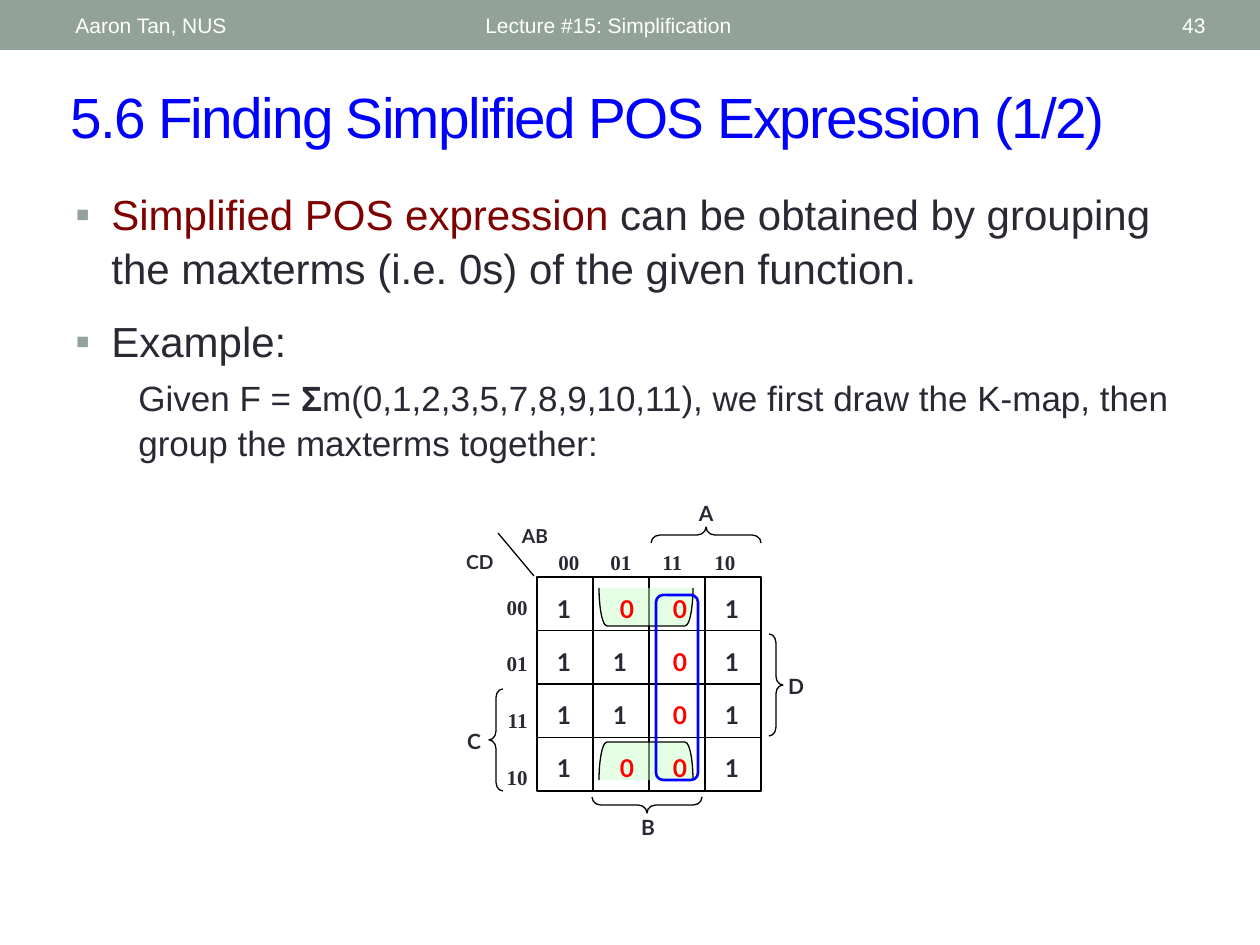
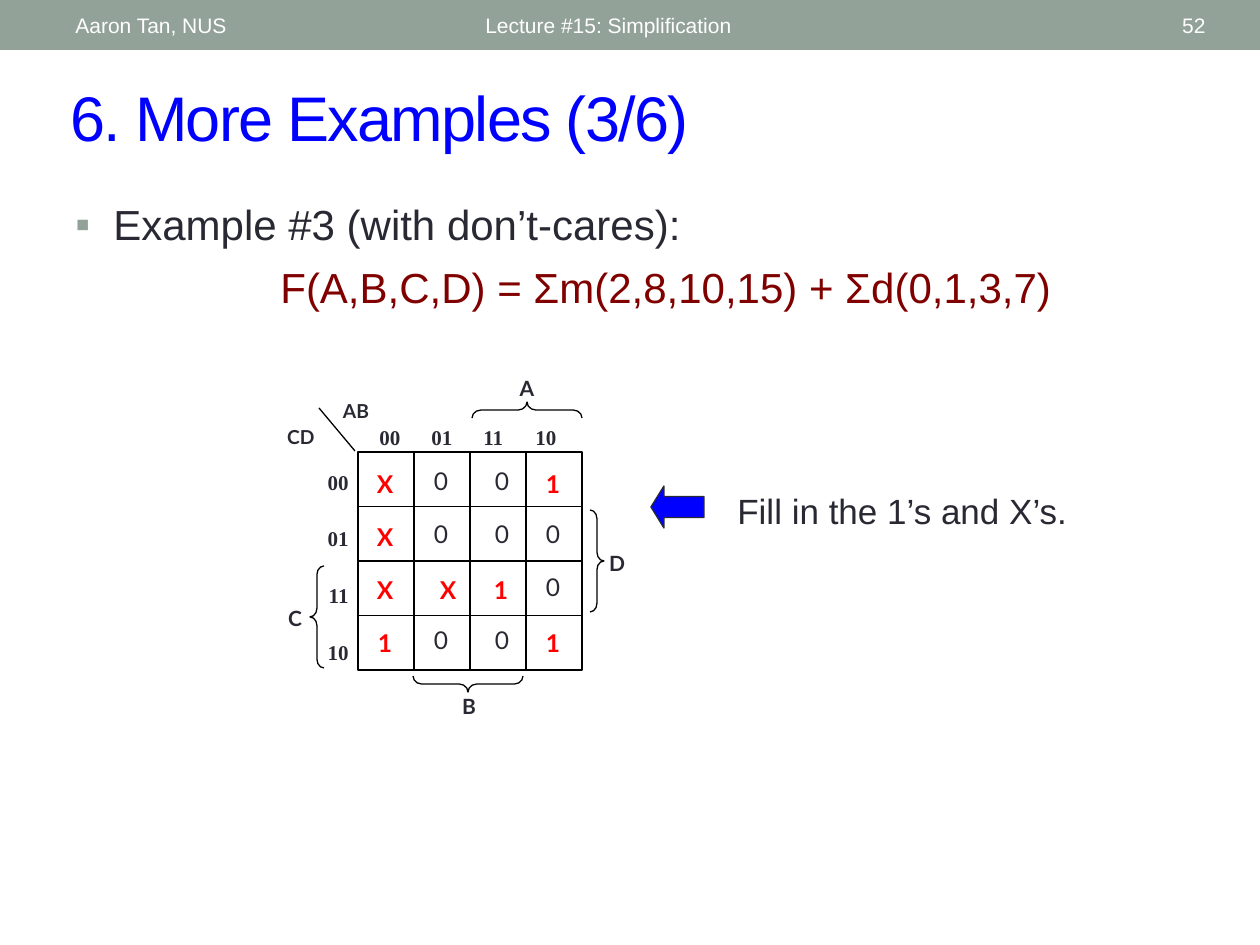
from lxml.etree import SubElement
from pptx import Presentation
from pptx.dml.color import RGBColor
from pptx.enum.shapes import MSO_CONNECTOR as Connector, MSO_SHAPE as Shape
from pptx.enum.text import MSO_ANCHOR as Anchor, MSO_AUTO_SIZE as AutoSize, PP_ALIGN as Align
from pptx.oxml.ns import qn
from pptx.util import Emu, Pt

COLORS = {
    "band": "93A299", "white": "FFFFFF", "title": "0000FF", "text": "292934",
    "accent": "800000", "mark": "FF0000", "line": "000000", "group": "CCFFCC",
}
SANS, LABEL, SERIF = "Arial", "Lato", "Times New Roman"
MAP_WIDTH, COLUMN, ROW_STEP = 224, 56, 53
GRAY_CODE = ("00", "01", "11", "10")
MARKED_NUDGES = (-1, 6, 3, -1)
PLAIN_NUDGES = (-1, -1, 4, -1)


def px(length):
    """Turn pixels at 126 to the inch into EMU."""
    return Emu(round(length * 914400 / 126))


def rgb(name):
    """Look up a named colour."""
    return RGBColor.from_string(COLORS[name])


def add_run(paragraph, text, size, color="text", font=SANS, bold=False):
    """Append one formatted run to a paragraph."""
    run = paragraph.add_run()
    run.text = text
    run.font.name = font
    run.font.size = Pt(size)
    run.font.bold = bold
    run.font.color.rgb = rgb(color)
    return run


def add_frame(slide, left, top, width, height, anchor=Anchor.TOP):
    """Add an empty wrapping text box and return its text frame."""
    box = slide.shapes.add_textbox(px(left), px(top), px(width), px(height))
    frame = box.text_frame
    frame.word_wrap = True
    frame.auto_size = AutoSize.NONE
    frame.vertical_anchor = anchor
    return frame


def add_label(slide, text, left, top, width, height, size, align=Align.CENTER,
              anchor=Anchor.TOP, **style):
    """Add a text box holding one run."""
    paragraph = add_frame(slide, left, top, width, height, anchor).paragraphs[0]
    paragraph.alignment = align
    return add_run(paragraph, text, size, **style)


def add_shape(slide, kind, left, top, width, height, fill=None, line="line",
              weight=0.75, rotation=0, adjustments=()):
    """Add a preset shape with a plain fill and outline."""
    shape = slide.shapes.add_shape(kind, px(left), px(top), px(width), px(height))
    shape.shadow.inherit = False
    shape.rotation = rotation
    for index, value in enumerate(adjustments):
        shape.adjustments[index] = value
    if fill:
        shape.fill.solid()
        shape.fill.fore_color.rgb = rgb(fill)
    else:
        shape.fill.background()
    if line:
        shape.line.color.rgb = rgb(line)
        shape.line.width = Pt(weight)
    else:
        shape.line.fill.background()
    return shape


def add_line(slide, start, end):
    """Add a thin straight connector without a shadow."""
    points = [px(value) for value in (*start, *end)]
    connector = slide.shapes.add_connector(Connector.STRAIGHT, *points)
    connector.line.color.rgb = rgb("line")
    connector.line.width = Pt(0.75)
    SubElement(connector._element.spPr, qn("a:effectLst"))
    return connector


def set_indent(paragraph, left, first=0):
    """Set the left margin and the first-line indent."""
    properties = paragraph._p.get_or_add_pPr()
    properties.set("marL", str(px(left)))
    properties.set("indent", str(px(first)))
    return properties


def set_bullet(paragraph, indent):
    """Give a paragraph a hanging square bullet."""
    properties = set_indent(paragraph, indent, -indent)
    color = SubElement(properties, qn("a:buClr"))
    SubElement(color, qn("a:srgbClr"), val=COLORS["band"])
    SubElement(properties, qn("a:buFont"), typeface=SANS)
    SubElement(properties, qn("a:buChar"), char="▪")


def add_body(slide, top, height, items):
    """Add body text from (bulleted, indent, space before, size, runs) items."""
    frame = add_frame(slide, 63, top, 1134, height)
    for index, (bulleted, indent, space, size, runs) in enumerate(items):
        paragraph = frame.add_paragraph() if index else frame.paragraphs[0]
        if bulleted:
            set_bullet(paragraph, indent)
        else:
            set_indent(paragraph, indent)
        paragraph.line_spacing = 1.07
        paragraph.space_before = Pt(space)
        for text, color, bold in runs:
            add_run(paragraph, text, size, color, bold=bold)


def start_slide(presentation, title, title_size, number):
    """Add a blank slide with the header band and title."""
    slide = presentation.slides.add_slide(presentation.slide_layouts[6])
    add_shape(slide, Shape.RECTANGLE, 0, 0, 1260, 50, "band", None)
    title_run = add_label(slide, title, 58, 72, 1143, 88, title_size, Align.LEFT,
                          Anchor.MIDDLE, color="title")
    title_run._r.get_or_add_rPr().set("spc", "-100")
    for text, left, width, align in (
            ("Lecture #15: Simplification", 473, 567, Align.LEFT),
            (number, 1099, 119, Align.RIGHT),
            ("Aaron Tan, NUS", 63, 399, Align.LEFT)):
        add_label(slide, text, left, 3, width, 45, 12, align, Anchor.MIDDLE, color="white")
    return slide


def add_grid(slide, left, top, height):
    """Draw the four by four outline of a K-map."""
    frame = add_shape(slide, Shape.RECTANGLE, left, top, MAP_WIDTH, height)
    for index in (1, 2, 3):
        x, y = left + COLUMN * index, top + height * index / 4
        vertical = add_line(slide, (x, top), (x, top + height))
        horizontal = add_line(slide, (left, y), (left + MAP_WIDTH, y))
        if index == 2:
            vertical.begin_connect(frame, 0)
            vertical.end_connect(frame, 2)
            horizontal.begin_connect(frame, 1)
            horizontal.end_connect(frame, 3)


def add_gray_codes(slide, left, top):
    """Write the row and column codes around a K-map."""
    rows = add_frame(slide, left - 46, top + 11, 49, 222)
    for index, code in enumerate(GRAY_CODE):
        paragraph = rows.add_paragraph() if index else rows.paragraphs[0]
        paragraph.alignment = Align.RIGHT
        paragraph.space_after = Pt(18)
        add_run(paragraph, code, 12, font=SERIF, bold=True)
    columns = add_frame(slide, left + 9, top - 34, 209, 43).paragraphs[0]
    tabs = SubElement(columns._p.get_or_add_pPr(), qn("a:tabLst"))
    for index in (1, 2, 3):
        SubElement(tabs, qn("a:tab"), pos=str(px(52 * index)), algn="l")
    add_run(columns, "\t".join(GRAY_CODE), 12, font=SERIF, bold=True)


def add_variables(slide, left, top, height):
    """Mark the variables of a K-map with braces and letters."""
    half = height // 2
    for kind, x, y, width, length, rotation, bend in (
            (Shape.LEFT_BRACE, -48, half + 5, 14, 102, 0, 0.62),
            (Shape.RIGHT_BRACE, 232, height // 4 + 4, 14, 102, 0, 0.62),
            (Shape.LEFT_BRACE, 161, -97, 16, 110, 90, 0.55),
            (Shape.LEFT_BRACE, 102, height - 41, 16, 110, 270, 0.54)):
        add_shape(slide, kind, left + x, top + y, width, length,
                  rotation=rotation, adjustments=(bend, 0.5))
    for text, x, y, width, size in (
            ("A", 148, -83, 42, 12), ("B", 90, height + 17, 42, 12),
            ("C", -84, half + 38, 42, 12), ("D", 238, half - 17, 42, 12),
            ("AB", -34, -59, 64, 11), ("CD", -96, -33, 78, 11)):
        add_label(slide, text, left + x, top + y, width, 36, size, font=LABEL, bold=True)
    add_line(slide, (left - 3, top - 1), (left - 39, top - 44))


def add_map(slide, left, top, height):
    """Draw a K-map without its values."""
    add_grid(slide, left, top, height)
    add_variables(slide, left, top, height)
    add_gray_codes(slide, left, top)


def add_values(slide, left, top, rows, marked, plain_bold, plain_lift=0):
    """Fill a K-map, showing the marked symbols in bold red."""
    for row, symbols in enumerate(rows):
        for column, symbol in enumerate(symbols):
            is_marked = symbol in marked
            nudge = (MARKED_NUDGES if is_marked else PLAIN_NUDGES)[column]
            lift = 0 if is_marked else plain_lift
            add_label(slide, symbol, left + COLUMN * column + nudge,
                      top + 11 + ROW_STEP * row - lift, COLUMN, 43, 14, font=LABEL,
                      color="mark" if is_marked else "text",
                      bold=is_marked or plain_bold)


def add_wrapped_group(slide, left, top):
    """Draw the two open halves of a group that wraps top to bottom."""
    for y, rotation in ((-17, 90), (137, 270)):
        bracket = add_shape(slide, Shape.RIGHT_BRACKET, left + 90, top + y, 38, 94,
                            "group", rotation=rotation, adjustments=(0.21,))
        color = bracket._element.spPr.find(".//" + qn("a:srgbClr"))
        SubElement(color, qn("a:alpha"), val="50000")


def build_pos_slide(presentation):
    """Build the slide on simplified POS expressions."""
    slide = start_slide(presentation, "5.6 Finding Simplified POS Expression (1/2)", 32.4, "43")
    add_body(slide, 179, 302, (
        (True, 36, 0, 24, (
            ("Simplified POS expression", "accent", False),
            (" can be obtained by grouping the maxterms (i.e. 0s) of the given function.",
             "text", False))),
        (True, 36, 11, 24, (("Example:", "text", False),)),
        (False, 63, 4, 20, (
            ("Given F = ", "text", False), ("Σ", "text", True),
            ("m(0,1,2,3,5,7,8,9,10,11), we first draw the K-map, then group the maxterms together:",
             "text", False)))))
    left, top = 537, 577
    add_map(slide, left, top, 214)
    add_wrapped_group(slide, left, top)
    add_values(slide, left, top, ("1001", "1101", "1101", "1001"), "0", True)
    add_shape(slide, Shape.ROUNDED_RECTANGLE, left + 119, top + 18, 42, 185,
              line="title", weight=1.5, adjustments=(0.17,))


def build_example_slide(presentation):
    """Build the slide on the example with don't-cares."""
    slide = start_slide(presentation, "6. More Examples (3/6)", 36, "52")
    add_body(slide, 189, 145, (
        (True, 38, 0, 24, (("Example #3 (with don’t-cares):", "text", False),)),
        (False, 205, 5, 24, (
            ("F(A,B,C,D) = Σm(2,8,10,15) + Σd(0,1,3,7)", "accent", False),))))
    add_label(slide, "Fill in the 1’s and X’s.", 725, 483, 388, 54, 20, Align.LEFT)
    add_shape(slide, Shape.LEFT_ARROW, 651, 486, 53, 42, "title", "text",
              adjustments=(0.5, 0.31))
    left, top = 358, 452
    add_map(slide, left, top, 218)
    add_values(slide, left, top, ("X001", "X000", "XX10", "1001"), "1X", False, 3)


def main():
    """Build and save the presentation."""
    presentation = Presentation()
    presentation.slide_width, presentation.slide_height = px(1260), px(945)
    build_pos_slide(presentation)
    build_example_slide(presentation)
    presentation.save("out.pptx")


if __name__ == "__main__":
    main()
